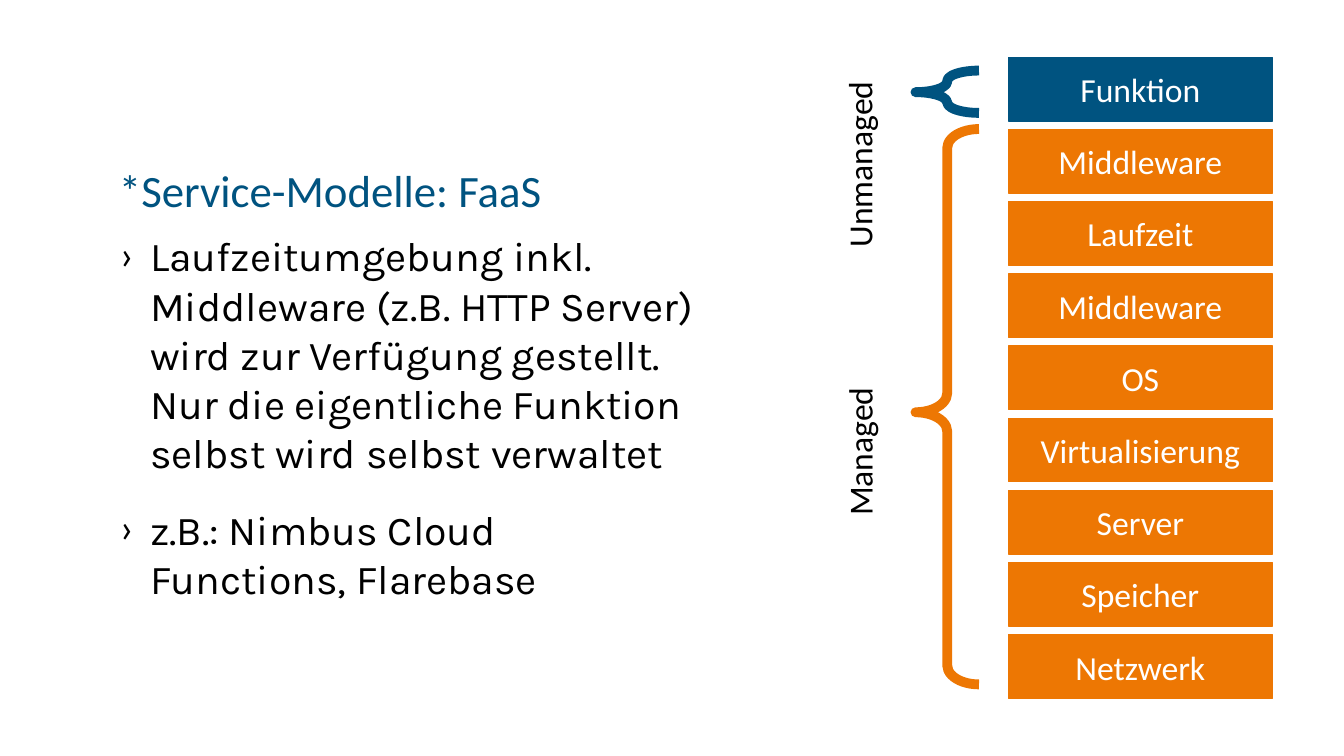
"""Build the slide on the FaaS service model with its stack of layers."""
import pptx
import pptx.dml.color
import pptx.enum.shapes
import pptx.enum.text
import pptx.oxml
import pptx.oxml.ns
import pptx.util
from pptx.util import Inches

BLUE, ORANGE, WHITE, BLACK = "005380", "ED7703", "FFFFFF", "000000"
TITLE = "*Service-Modelle: FaaS"
BULLETS = [
    "Laufzeitumgebung inkl. Middleware (z.B. HTTP Server) wird zur Verfügung "
    "gestellt. Nur die eigentliche Funktion selbst wird selbst verwaltet",
    "z.B.: Nimbus Cloud Functions, Flarebase",
]
LAYERS = ["Funktion", "Middleware", "Laufzeit", "Middleware", "OS",
          "Virtualisierung", "Server", "Speicher", "Netzwerk"]
LAYER_LEFT, LAYER_TOP, LAYER_PITCH = 10, 0.57, 0.716
LAYER_WIDTH, LAYER_HEIGHT = 2.62, 0.63
BRACES = [(0.7, 0.42, BLUE), (1.28, 5.51, ORANGE)]
BRACE_LEFT, BRACE_WIDTH = 9.08, 0.63
LABELS = [("Unmanaged", 1.63, 2), ("Managed", 4.48, 3.22)]
LABEL_CENTER, LABEL_HEIGHT = 8.52, 0.54


def rgb(value):
    """Turn a hex string into a colour."""
    return pptx.dml.color.RGBColor.from_string(value)


def set_font(paragraph, size, color, name="Calibri"):
    """Set the font of a whole paragraph."""
    paragraph.font.size = pptx.util.Pt(size)
    paragraph.font.name = name
    paragraph.font.color.rgb = rgb(color)


def place(shape, left, top, width, height):
    """Move a placeholder to a position in inches."""
    shape.left, shape.top = Inches(left), Inches(top)
    shape.width, shape.height = Inches(width), Inches(height)


def add_bullet(paragraph):
    """Give a paragraph a hanging angle bullet."""
    properties = paragraph._p.get_or_add_pPr()
    properties.set("marL", str(Inches(0.31)))
    properties.set("indent", str(Inches(-0.3)))
    namespace = pptx.oxml.ns.nsdecls("a")
    for element in (
        f'<a:buClr {namespace}><a:srgbClr val="{BLACK}"/></a:buClr>',
        f'<a:buFont {namespace} typeface="Calibri"/>',
        f'<a:buChar {namespace} char="›"/>',
    ):
        properties.append(pptx.oxml.parse_xml(element))


def add_centered_text(shape, text, color):
    """Write one centred line into a shape."""
    frame = shape.text_frame
    frame.word_wrap = True
    frame.vertical_anchor = pptx.enum.text.MSO_ANCHOR.MIDDLE
    frame.margin_left = frame.margin_right = Inches(0.13)
    frame.margin_top = frame.margin_bottom = Inches(0.07)
    paragraph = frame.paragraphs[0]
    paragraph.text = text
    paragraph.alignment = pptx.enum.text.PP_ALIGN.CENTER
    set_font(paragraph, 24, color)


def add_outlined(page, kind, left, top, width, height, color, weight):
    """Add a preset shape without shadow and with a coloured line."""
    shape = page.shapes.add_shape(
        kind, Inches(left), Inches(top), Inches(width), Inches(height))
    shape.shadow.inherit = False
    shape.line.color.rgb = rgb(color)
    shape.line.width = pptx.util.Pt(weight)
    return shape


def add_texts(page):
    """Fill the title and the bullet list."""
    title, body = page.placeholders
    place(title, 1.08, 1.58, 11.88, 0.6)
    place(body, 1.08, 2.24, 5.93, 4.34)
    for holder in (title, body):
        holder.text_frame.auto_size = pptx.enum.text.MSO_AUTO_SIZE.NONE
    heading = title.text_frame.paragraphs[0]
    heading.text = TITLE
    heading.alignment = pptx.enum.text.PP_ALIGN.LEFT
    set_font(heading, 32, BLUE)
    body.text_frame.text = "\n".join(BULLETS)
    for index, paragraph in enumerate(body.text_frame.paragraphs):
        paragraph.space_before = pptx.util.Pt(19.5 if index else 0)
        add_bullet(paragraph)
        set_font(paragraph, 29.3, BLACK, "Karla")


def add_stack(page):
    """Draw the layers with their braces and labels."""
    kinds = pptx.enum.shapes.MSO_SHAPE
    for index, name in enumerate(LAYERS):
        color = ORANGE if index else BLUE
        layer = add_outlined(page, kinds.RECTANGLE, LAYER_LEFT,
                             LAYER_TOP + index * LAYER_PITCH,
                             LAYER_WIDTH, LAYER_HEIGHT, color, 1)
        layer.fill.solid()
        layer.fill.fore_color.rgb = rgb(color)
        add_centered_text(layer, name, WHITE)
    for top, height, color in BRACES:
        brace = add_outlined(page, kinds.LEFT_BRACE, BRACE_LEFT, top,
                             BRACE_WIDTH, height, color, 7)
        brace.fill.background()
        brace.adjustments[0], brace.adjustments[1] = 0.3, 0.51
    for text, middle, width in LABELS:
        label = page.shapes.add_textbox(
            Inches(LABEL_CENTER - width / 2), Inches(middle - LABEL_HEIGHT / 2),
            Inches(width), Inches(LABEL_HEIGHT))
        label.rotation = 270
        add_centered_text(label, text, BLACK)


def main():
    """Create and save the deck."""
    deck = pptx.Presentation()
    deck.slide_width, deck.slide_height = Inches(13.33), Inches(7.5)
    page = deck.slides.add_slide(deck.slide_layouts[1])
    add_texts(page)
    add_stack(page)
    deck.save("out.pptx")


if __name__ == "__main__":
    main()
